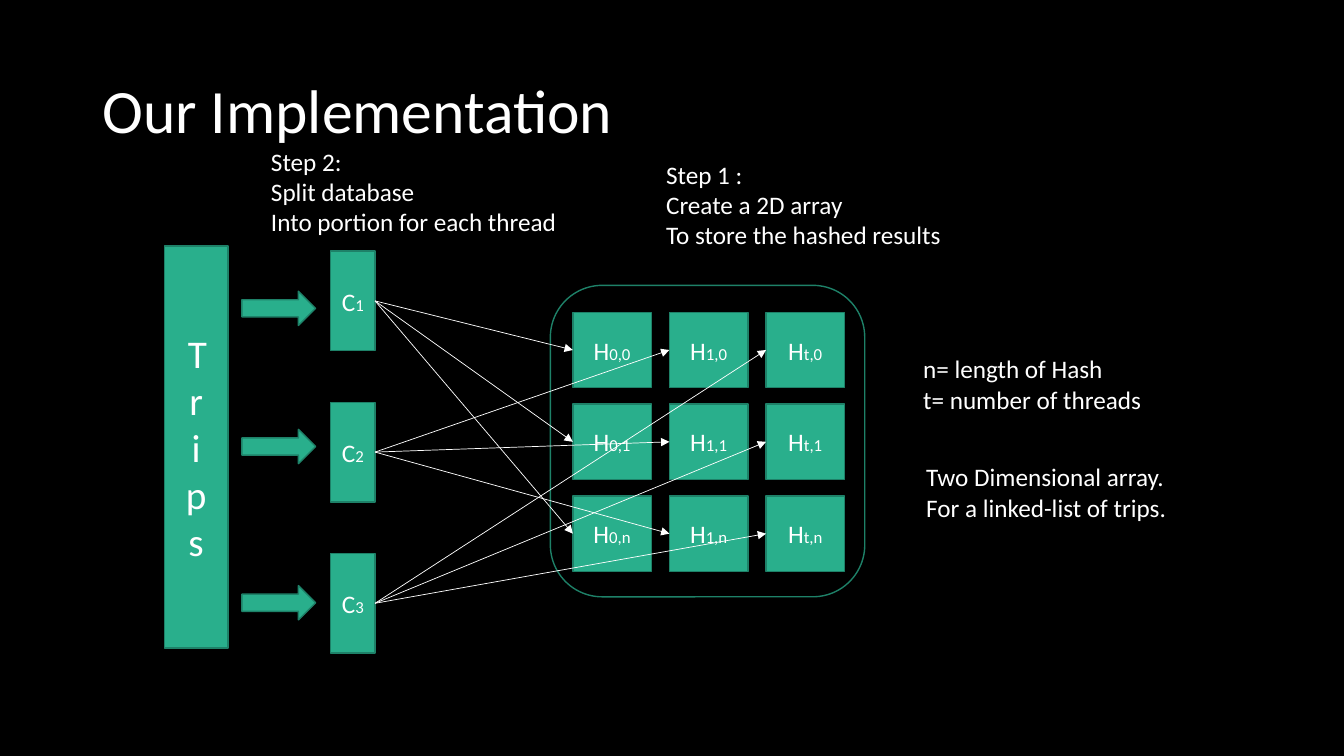
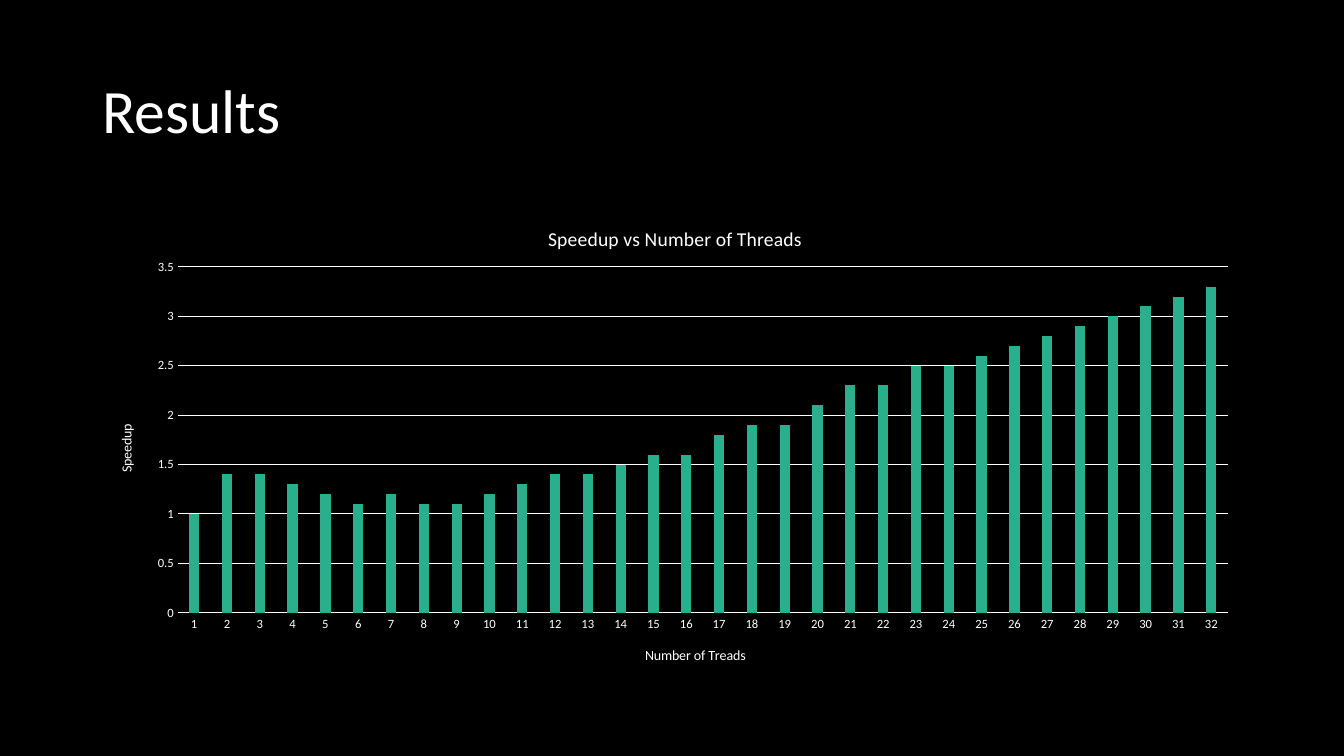
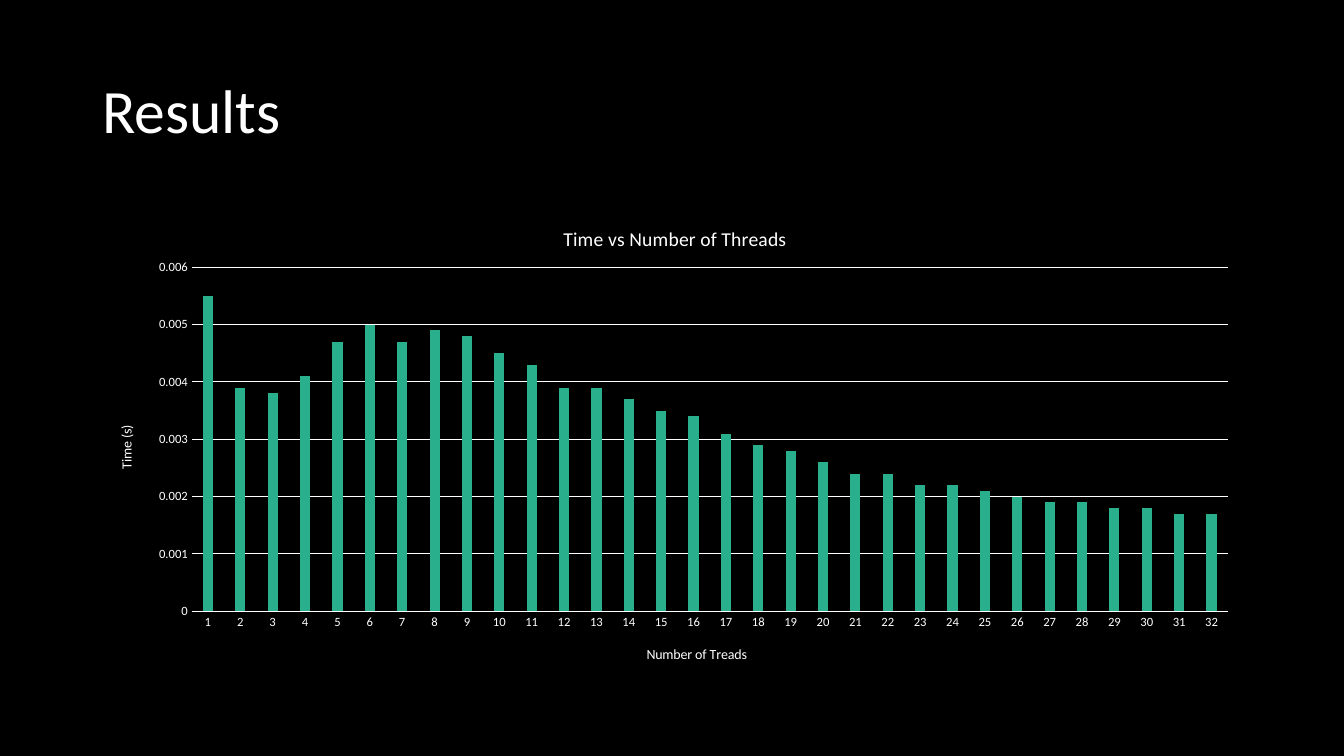
from lxml.etree import SubElement
from pptx import Presentation
from pptx.chart.data import CategoryChartData
from pptx.dml.color import RGBColor
from pptx.enum.chart import XL_CHART_TYPE, XL_TICK_MARK
from pptx.enum.shapes import MSO_CONNECTOR, MSO_SHAPE
from pptx.enum.text import MSO_ANCHOR, MSO_AUTO_SIZE, PP_ALIGN
from pptx.oxml import parse_xml
from pptx.oxml.ns import nsdecls, qn
from pptx.util import Pt

FONT = "Calibri"
BLACK, WHITE, GREEN, EDGE = "000000", "FFFFFF", "29AF8C", "1E8168"
FRAME = (66, 144, 828, 343.5)

NOTES = [
    (468.7, 110.2, 217.4, 72.7, ["Step 1 :", "Create a 2D array", "To store the hashed results"]),
    (186.5, 100.8, 221, 72.7, ["Step 2:", "Split database", "Into portion for each thread"]),
    (652.3, 249.1, 176.4, 51, ["n= length of Hash", "t= number of threads"]),
    (654.5, 326.2, 190, 51, ["Two Dimensional array.", "For a linked-list of trips."]),
]
PARTS = ["1", "2", "3"]
ARROWS = [208, 306.7, 418.3]
COLS = ["0", "1", "t"]
ROWS = ["0", "1", "n"]

CHARTS = [
    {
        "title": "Speedup vs Number of Threads", "value": "Speedup",
        "top": 3.5, "step": 0.5,
        "vals": [1, 1.4, 1.4, 1.3, 1.2, 1.1, 1.2, 1.1, 1.1, 1.2, 1.3, 1.4, 1.4, 1.5, 1.6, 1.6,
                 1.8, 1.9, 1.9, 2.1, 2.3, 2.3, 2.5, 2.5, 2.6, 2.7, 2.8, 2.9, 3, 3.1, 3.2, 3.3],
        "plot": (127, 190.7, 750, 247.1),
        "heads": [(389, 158.5), (459, 460), (82, 301)],
    },
    {
        "title": "Time vs Number of Threads", "value": "Time (s)",
        "top": 0.006, "step": 0.001,
        "vals": [0.0055, 0.0039, 0.0038, 0.0041, 0.0047, 0.005, 0.0047, 0.0049,
                 0.0048, 0.0045, 0.0043, 0.0039, 0.0039, 0.0037, 0.0035, 0.0034,
                 0.0031, 0.0029, 0.0028, 0.0026, 0.0024, 0.0024, 0.0022, 0.0022,
                 0.0021, 0.002, 0.0019, 0.0019, 0.0018, 0.0018, 0.0017, 0.0017],
        "plot": (137, 191, 740, 245.6),
        "heads": [(400, 158.5), (460, 459), (82, 302)],
    },
]


def color(code):
    return RGBColor.from_string(code)


def style(font, size):
    font.name, font.size, font.bold = FONT, Pt(size), False
    font.color.rgb = color(WHITE)


def stroke(line, code, width):
    line.color.rgb = color(code)
    line.width = Pt(width)


def start(deck, text):
    slide = deck.slides.add_slide(deck.slide_layouts[5])
    title = slide.shapes.title
    title.left, title.top, title.width, title.height = map(Pt, (66, 28.8, 828, 104.4))
    frame = title.text_frame
    frame.text = text
    frame.auto_size = MSO_AUTO_SIZE.NONE
    frame.vertical_anchor = MSO_ANCHOR.MIDDLE
    para = frame.paragraphs[0]
    para.alignment, para.line_spacing = PP_ALIGN.LEFT, 0.9
    style(para.font, 44)
    return slide


def block(slide, kind, box, fill=GREEN):
    shape = slide.shapes.add_shape(kind, *map(Pt, box))
    shape.shadow.inherit = False
    if fill:
        shape.fill.solid()
        shape.fill.fore_color.rgb = color(fill)
    else:
        shape.fill.background()
    stroke(shape.line, EDGE, 1)
    return shape


def label(shape, *runs):
    frame = shape.text_frame
    frame.vertical_anchor = MSO_ANCHOR.MIDDLE
    para = frame.paragraphs[0]
    para.alignment = PP_ALIGN.CENTER
    for text, size in runs:
        run = para.add_run()
        run.text = text
        style(run.font, size)


def cell(slide, box, name, index):
    shape = block(slide, MSO_SHAPE.RECTANGLE, box)
    label(shape, (name, 18), (index, 12))
    return shape


def link(slide, first, last):
    line = slide.shapes.add_connector(MSO_CONNECTOR.STRAIGHT, 0, 0, 0, 0)
    line.begin_connect(first, 3)
    line.end_connect(last, 1)
    stroke(line.line, WHITE, 0.5)
    SubElement(line.line._get_or_add_ln(), qn("a:tailEnd"), type="triangle")
    SubElement(line._element.spPr, qn("a:effectLst"))


def note(slide, x, y, w, h, lines):
    frame = slide.shapes.add_textbox(*map(Pt, (x, y, w, h))).text_frame
    frame.word_wrap = False
    frame.text = "\n".join(lines)
    for para in frame.paragraphs:
        style(para.font, 18)


def diagram(deck):
    slide = start(deck, "Our Implementation")
    trips = block(slide, MSO_SHAPE.RECTANGLE, (117.4, 175.7, 45.4, 287.3))
    label(trips, ("Trips", 28))
    trips.text_frame._txBody.bodyPr.set("vert", "wordArtVert")
    parts = [cell(slide, (236.2, 179.3 + 108 * i, 31.7, 71.3), "C", part)
             for i, part in enumerate(PARTS)]
    for y in ARROWS:
        block(slide, MSO_SHAPE.RIGHT_ARROW, (172.8, y, 52.6, 24.5))
    block(slide, MSO_SHAPE.ROUNDED_RECTANGLE, (393.1, 203.8, 224.6, 222.5), None)
    grid = [[cell(slide, (409.2 + 69 * c, 223 + 65.6 * r, 56, 54), "H", f"{col},{row}")
             for r, row in enumerate(ROWS)]
            for c, col in enumerate(COLS)]
    for part, column in zip(parts, grid):
        for target in column:
            link(slide, part, target)
    for item in NOTES:
        note(slide, *item)


def place(node, at, x, y, size=None):
    left, top, width, height = FRAME
    marks = [("xMode", "edge"), ("yMode", "edge"),
             ("x", (x - left) / width), ("y", (y - top) / height)]
    if size:
        marks.insert(0, ("layoutTarget", "inner"))
        marks += [("w", size[0] / width), ("h", size[1] / height)]
    old = node.find(qn("c:layout"))
    if old is not None:
        node.remove(old)
    body = "".join(f'<c:{tag} val="{val}"/>' for tag, val in marks)
    node.insert(at, parse_xml(
        f'<c:layout {nsdecls("c")}><c:manualLayout>{body}</c:manualLayout></c:layout>'))


def head(title, text, size, spot):
    title.text_frame.text = text
    style(title.text_frame.paragraphs[0].font, size)
    place(title._element, 1, *spot)


def results(deck, info):
    slide = start(deck, "Results")
    data = CategoryChartData()
    data.categories = [str(n + 1) for n in range(len(info["vals"]))]
    data.add_series("Series 1", info["vals"])
    chart = slide.shapes.add_chart(
        XL_CHART_TYPE.COLUMN_CLUSTERED, *map(Pt, FRAME), data).chart
    style(chart.font, 10)
    chart.has_legend = False
    plot = chart.plots[0]
    plot.gap_width, plot.overlap, plot.vary_by_categories = 219, -27, False
    fill = plot.series[0].format.fill
    fill.solid()
    fill.fore_color.rgb = color(GREEN)

    base, scale = chart.category_axis, chart.value_axis
    for axis in (base, scale):
        axis.major_tick_mark = axis.minor_tick_mark = XL_TICK_MARK.NONE
        style(axis.tick_labels.font, 9)
    stroke(base.format.line, WHITE, 0.75)
    scale.format.line.fill.background()
    scale.has_major_gridlines = True
    stroke(scale.major_gridlines.format.line, WHITE, 0.75)
    scale.minimum_scale, scale.maximum_scale = 0, info["top"]
    scale.major_unit = info["step"]

    main, below, side = info["heads"]
    head(chart.chart_title, info["title"], 14, main)
    head(base.axis_title, "Number of Treads", 10, below)
    head(scale.axis_title, info["value"], 10, side)
    turn = scale.axis_title.text_frame._txBody.find(qn("a:bodyPr"))
    turn.set("rot", "-5400000")
    turn.set("vert", "horz")
    x, y, *size = info["plot"]
    place(chart._chartSpace.chart.plotArea, 0, x, y, size)


def main():
    deck = Presentation()
    deck.slide_width, deck.slide_height = Pt(960), Pt(540)
    back = deck.slide_master.background.fill
    back.solid()
    back.fore_color.rgb = color(BLACK)
    diagram(deck)
    for info in CHARTS:
        results(deck, info)
    deck.save("out.pptx")


if __name__ == "__main__":
    main()
